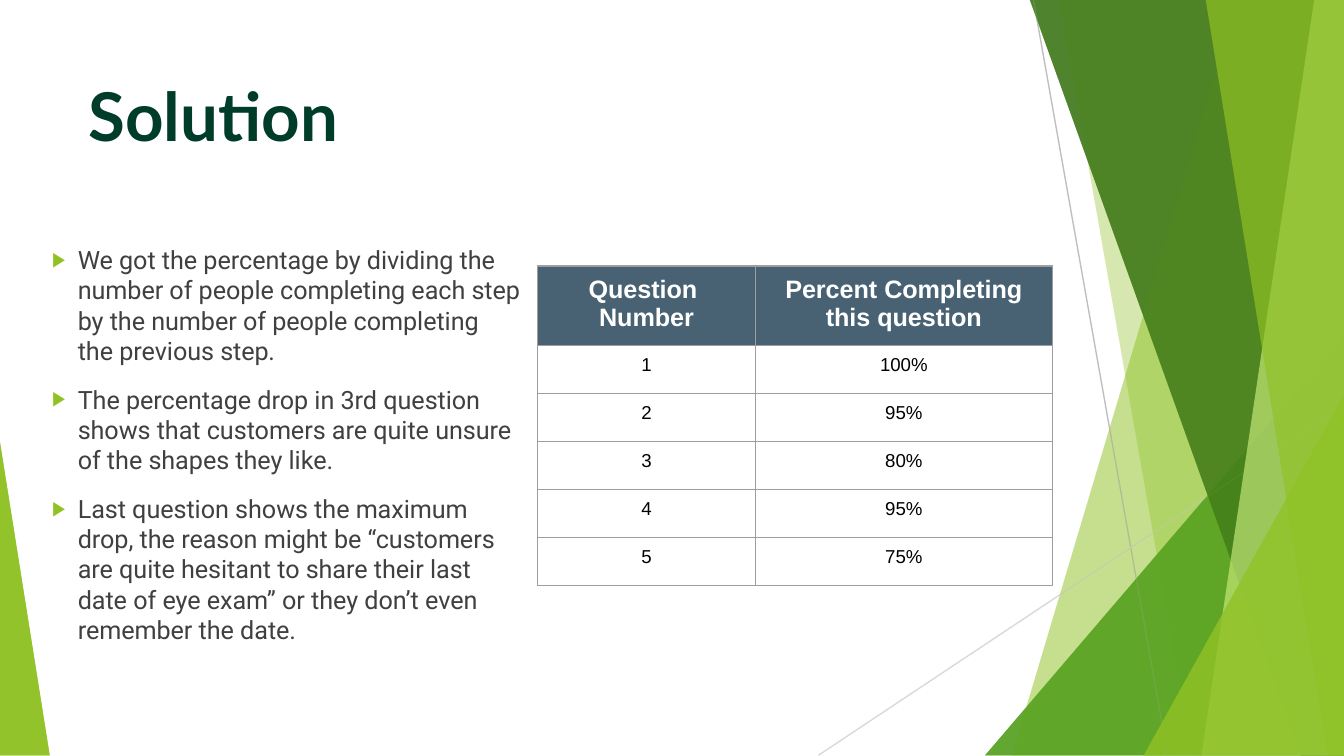
import pptx
import pptx.util
import pptx.dml.color
import pptx.enum.shapes
import pptx.enum.text
import pptx.oxml
import pptx.oxml.ns
from lxml import etree

Inches = pptx.util.Inches
Pt = pptx.util.Pt
qn = pptx.oxml.ns.qn


def paint(color_holder, hex_color, alpha=100):
    """Set a solid fill or a line fill to a colour with an opacity in percent."""
    color_holder.solid()
    color_holder.fore_color.rgb = pptx.dml.color.RGBColor.from_string(hex_color)
    if alpha < 100:
        color = color_holder._xPr.find(qn("a:solidFill"))[0]
        etree.SubElement(color, qn("a:alpha"), val=str(alpha * 1000))


def add_span(para, text, hex_color, **format_values):
    span = para.add_run()
    span.text = text
    for name, value in format_values.items():
        setattr(span.font, name, value)
    paint(span.font.fill, hex_color)


# Widescreen page, 16 to 9
deck = pptx.Presentation()
deck.slide_width = Inches(10)
deck.slide_height = Inches(10) * 9 // 16
page = deck.slides.add_slide(deck.slide_layouts[5])
shapes = page.shapes

# Facets: bands run from (top left x) to (bottom left x) and fill to the right
# edge; triangles give left, top, width, height and apex position
band_top, band_bottom = -0.01, 5.62
facets = [
    ("band", (9.21, 7.53), "90C226", 30),
    ("band", (7.88, 8.87), "90C226", 20),
    ("triangle", (7.33, 2.5, 2.67, 3.12, 1), "54A021", 72),
    ("band", (7.66, 9.68), "3F7819", 70),
    ("band", (9.78, 8.94), "C0E474", 70),
    ("band", (8.97, 9.88), "90C226", 65),
    ("triangle", (8.51, 2.94, 1.49, 2.68, 1), "90C226", 80),
    ("triangle", (0, 3.29, 0.37, 2.33, 0), "90C226", 85),
]
thin_lines = [
    ((7.69, 0, 8.69, 5.63), "BFBFBF"),
    ((10, 3.02, 6.09, 5.62), "D9D9D9"),
]

# Two layers of facets deepen the colours; the thin lines lie between them
for layer in range(2):
    for kind, geometry, hex_color, alpha in facets:
        if kind == "band":
            top_x, bottom_x = geometry
            outline = shapes.build_freeform(Inches(top_x), Inches(band_top), scale=1.0)
            corners = [(10, band_top), (10, band_bottom), (bottom_x, band_bottom)]
            outline.add_line_segments([(Inches(x), Inches(y)) for x, y in corners])
            facet = outline.convert_to_shape()
        else:
            *frame, apex = geometry
            facet = shapes.add_shape(
                pptx.enum.shapes.MSO_SHAPE.ISOSCELES_TRIANGLE, *map(Inches, frame))
            facet.adjustments[0] = apex
        facet.shadow.inherit = False
        facet.line.fill.background()
        paint(facet.fill, hex_color, alpha)
    if layer == 0:
        for ends, hex_color in thin_lines:
            line = shapes.add_connector(
                pptx.enum.shapes.MSO_CONNECTOR.STRAIGHT, *map(Inches, ends))
            line.line.width = Pt(0.75)
            paint(line.line.fill, hex_color)
            etree.SubElement(line._element.spPr, qn("a:effectLst"))

# Title
title = shapes.title
title_frame = {"left": 0.56, "top": 0.5, "width": 7.05, "height": 0.84}
for name, value in title_frame.items():
    setattr(title, name, Inches(value))
title.text_frame.vertical_anchor = pptx.enum.text.MSO_ANCHOR.TOP
para = title.text_frame.paragraphs[0]
para.alignment = pptx.enum.text.PP_ALIGN.LEFT
add_span(para, "Solution", "003C2A", name="Lato", size=Pt(36), bold=True)

# Bulleted findings; hard spaces keep the last words of the first one together
hard_space = chr(160)
findings = [
    "We got the percentage by dividing the number of people completing each step "
    "by the number of people completing " + hard_space.join(["the", "previous", "step"]),
    "The percentage drop in 3rd question shows that customers are quite unsure "
    "of the shapes they like.",
    "Last question shows the maximum drop, the reason might be “customers are quite "
    "hesitant to share their last date of eye exam” or they don’t even remember the date.",
]
box = shapes.add_textbox(Inches(0.29), Inches(1.77), Inches(3.71), Inches(3.08))
box.text_frame.word_wrap = True
for index, finding in enumerate(findings):
    para = box.text_frame.paragraphs[0] if index == 0 else box.text_frame.add_paragraph()
    para.space_before = Pt(10)
    add_span(para, finding, "404040", name="Roboto", size=Pt(13.5))
    if index == 0:
        add_span(para, ".", "404040", name="Lato", size=Pt(12))
    properties = para._p.get_or_add_pPr()
    properties.set("marL", str(Inches(0.19)))
    properties.set("indent", str(Inches(-0.21)))
    bullet_color = etree.SubElement(properties, qn("a:buClr"))
    etree.SubElement(bullet_color, qn("a:srgbClr"), val="90C226")
    etree.SubElement(properties, qn("a:buSzPct"), val="80000")
    etree.SubElement(properties, qn("a:buFont"), typeface="Arial")
    etree.SubElement(properties, qn("a:buChar"), char="▶")

# Table of completion rates
rows = [
    ("Question \nNumber", "Percent Completing this question"),
    ("1", "100%"),
    ("2", "95%"),
    ("3", "80%"),
    ("4", "95%"),
    ("5", "75%"),
]
table_height, header_height = 2.38, 0.59
value_height = (table_height - header_height) / (len(rows) - 1)
header_format = {"name": "Arial", "size": Pt(13.5), "bold": True}
value_format = {"name": "Arial", "size": Pt(10), "bold": False}
table = shapes.add_table(
    len(rows), 2, Inches(4), Inches(1.98), Inches(3.83), Inches(table_height)).table
table.horz_banding = False
for column, width in zip(table.columns, (1.62, 2.21)):
    column.width = Inches(width)
for row_index, row in enumerate(rows):
    is_header = row_index == 0
    table.rows[row_index].height = Inches(header_height if is_header else value_height)
    for column_index, text in enumerate(row):
        cell = table.cell(row_index, column_index)
        for side in ("left", "right", "top", "bottom"):
            setattr(cell, "margin_" + side, Inches(0.07))
        for index, text_line in enumerate(text.split("\n")):
            para = cell.text_frame.paragraphs[0] if index == 0 else cell.text_frame.add_paragraph()
            para.alignment = pptx.enum.text.PP_ALIGN.CENTER
            add_span(para, text_line, "FFFFFF" if is_header else "000000",
                     **(header_format if is_header else value_format))
        # Borders come before the fill in the cell properties
        properties = cell._tc.get_or_add_tcPr()
        for edge in ("a:lnL", "a:lnR", "a:lnT", "a:lnB"):
            border = etree.SubElement(properties, qn(edge), w=str(Pt(0.75)))
            border_fill = etree.SubElement(border, qn("a:solidFill"))
            etree.SubElement(border_fill, qn("a:srgbClr"), val="9E9E9E")
        if is_header:
            paint(cell.fill, "204056", 82)
        else:
            cell.fill.background()

deck.save("out.pptx")
